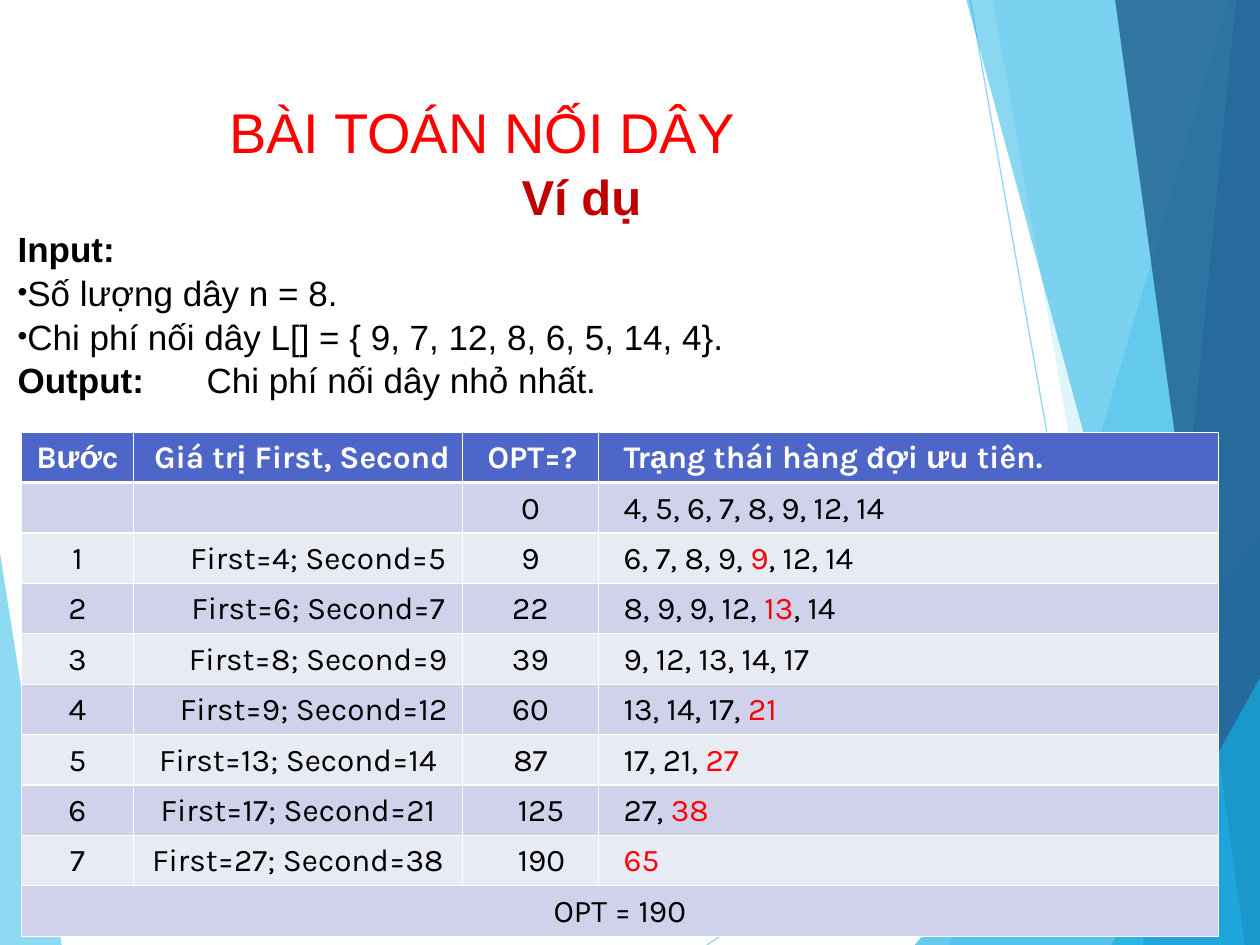
from dataclasses import dataclass
from typing import NamedTuple

from lxml.etree import SubElement
from pptx import Presentation
from pptx.dml.color import RGBColor
from pptx.enum.shapes import MSO_CONNECTOR
from pptx.enum.text import MSO_ANCHOR, MSO_AUTO_SIZE, PP_ALIGN
from pptx.oxml.ns import qn
from pptx.util import Emu, Inches, Pt


@dataclass(frozen=True)
class Theme:
    heading_font: str = "Arial"
    table_font: str = "Karla"
    title_size: int = 32
    example_size: int = 28
    body_size: int = 20
    table_size: int = 18
    ink: str = "000000"
    white: str = "FFFFFF"
    red: str = "FF0000"
    dark_red: str = "C00000"
    header: str = "4D66C7"
    bands: tuple = ("E8EAF4", "CFD2EA")
    sky: str = "5FCBEF"
    cyan: str = "17B0E4"
    blue: str = "2E83C3"
    navy: str = "236292"


THEME = Theme()


class Facet(NamedTuple):
    color: str
    opacity: int
    points: tuple


class Ray(NamedTuple):
    start: tuple
    end: tuple


class Step(NamedTuple):
    number: str
    pair: str
    pair_indent: float
    opt: str
    opt_indent: float
    queue: str  # the value just pushed stands between asterisks


RAYS = [Ray((5.61, 7.5), (10, 4.57)), Ray((7.7, 0), (9.03, 7.5))]
FACETS = [
    Facet(THEME.sky, 70, ((0, 4.39), (0.49, 7.5), (0, 7.5))),
    Facet(THEME.sky, 36, ((9.75, 0), (7.54, 7.5), (10, 7.5), (10, 0))),
    Facet(THEME.sky, 20, ((7.88, 0), (9.19, 7.5), (10, 7.5), (10, 0))),
    Facet(THEME.cyan, 66, ((7.26, 7.5), (10, 4.29), (10, 7.5))),
    Facet(THEME.cyan, 50, ((7.67, 0), (9.7, 7.5), (10, 7.5), (10, 0))),
    Facet(THEME.blue, 70, ((9.81, 0), (9.07, 7.5), (10, 7.5), (10, 0))),
    Facet(THEME.navy, 82, ((8.85, 0), (9.88, 7.5), (10, 7.5), (10, 0))),
    Facet(THEME.cyan, 66, ((8.82, 7.5), (10, 5.38), (10, 7.5))),
]

# Letters between asterisks are set in the heading font
HEADERS = ["B*ướ*c", "Giá tr*ị *First, Second", "OPT=?", "Tr*ạ*ng thái hàng đ*ợ*i *ư*u tiên."]
HEADER_ALIGNS = [PP_ALIGN.CENTER, PP_ALIGN.RIGHT, PP_ALIGN.LEFT, PP_ALIGN.LEFT]
STEPS = [
    Step("", "", 0, "0", 0, "4, 5, 6, 7, 8, 9, 12, 14"),
    Step("1", "First=4; Second=5", 0.32, "9", 0, "6, 7, 8, 9, *9*, 12, 14"),
    Step("2", "First=6; Second=7", 0.32, "22", 0, "8, 9, 9, 12, *13*, 14"),
    Step("3", "First=8; Second=9", 0.32, "39", 0, "9, 12, 13, 14, 17"),
    Step("4", "First=9; Second=12", 0.25, "60", 0, "13, 14, 17, *21*"),
    Step("5", "First=13; Second=14", 0, "87", 0, "17, 21, *27*"),
    Step("6", "First=17; Second=21", 0, "125", 0.34, "27, *38*"),
    Step("7", "First=27; Second=38", 0, "190", 0.34, "*65*"),
]
COLUMN_WIDTHS = [0.89, 2.61, 1.08, 4.92]
ROW_HEIGHT = 0.4


def rgb(color: str) -> RGBColor:
    return RGBColor.from_string(color)


def set_font(font, name: str, size: int, color: str, bold: bool = False) -> None:
    font.name, font.size, font.bold = name, Pt(size), bold
    font.color.rgb = rgb(color)


def set_opacity(shape, percent: int) -> None:
    color = shape.element.find(".//" + qn("a:srgbClr"))
    SubElement(color, qn("a:alpha"), val=str(percent * 1000))


def place(shape, left: float, top: float, width: float, height: float) -> None:
    shape.left, shape.top = Inches(left), Inches(top)
    shape.width, shape.height = Inches(width), Inches(height)


def set_indent(paragraph, inches: float) -> None:
    properties = paragraph._p.get_or_add_pPr()
    properties.set("marL", str(Inches(inches)))
    properties.set("indent", "0")


def draw_facet(slide, facet: Facet):
    corners = [(Inches(x), Inches(y)) for x, y in facet.points]
    builder = slide.shapes.build_freeform(*corners[0], scale=1.0)
    builder.add_line_segments(corners[1:], close=True)
    shape = builder.convert_to_shape()
    shape.shadow.inherit = False
    shape.fill.solid()
    shape.fill.fore_color.rgb = rgb(facet.color)
    shape.line.fill.background()
    set_opacity(shape, facet.opacity)
    return shape


def draw_ray(slide, ray: Ray):
    ends = [Inches(value) for value in ray.start + ray.end]
    line = slide.shapes.add_connector(MSO_CONNECTOR.STRAIGHT, *ends)
    line.line.color.rgb = rgb(THEME.sky)
    line.line.width = Pt(0.75)
    set_opacity(line, 70)
    SubElement(line.element.spPr, qn("a:effectLst"))
    return line


def set_border(cell, side: str, width: float) -> None:
    line = SubElement(cell._tc.get_or_add_tcPr(), qn("a:ln" + side), w=str(Pt(width)))
    SubElement(SubElement(line, qn("a:solidFill")), qn("a:srgbClr"), val=THEME.white)


def fill_cell(cell, row: int, column: int, text: str, align, indent: float = 0) -> None:
    is_header = row == 0
    # Borders come before the fill
    widths = {
        "L": 0.45 if column == 1 else 0.75,
        "R": 0.45 if column == 0 and row <= len(STEPS) else 0.75,
        "T": 2.1 if row == 1 else 0.75,
        "B": 2.1 if is_header else 0.75,
    }
    for side, width in widths.items():
        set_border(cell, side, width)
    cell.fill.solid()
    cell.fill.fore_color.rgb = rgb(THEME.header if is_header else THEME.bands[row % 2])
    cell.margin_top, cell.margin_bottom = Inches(0.06), Emu(0)

    paragraph = cell.text_frame.paragraphs[0]
    paragraph.alignment = align
    set_indent(paragraph, indent)
    set_font(paragraph.font, THEME.table_font, THEME.table_size,
             THEME.white if is_header else THEME.ink, is_header)
    for position, piece in enumerate(text.split("*")):
        if not piece:
            continue
        run = paragraph.add_run()
        run.text = piece
        if position % 2 and is_header:
            run.font.name = THEME.heading_font
        elif position % 2:
            run.font.color.rgb = rgb(THEME.red)


def draw_table(slide):
    rows = len(STEPS) + 2
    frame = slide.shapes.add_table(rows, len(COLUMN_WIDTHS), Inches(0.17), Inches(3.43),
                                   Inches(sum(COLUMN_WIDTHS)), Inches(rows * ROW_HEIGHT))
    table = frame.table
    for column, width in zip(table.columns, COLUMN_WIDTHS):
        column.width = Inches(width)
    for column, (text, align) in enumerate(zip(HEADERS, HEADER_ALIGNS)):
        fill_cell(table.cell(0, column), 0, column, text, align, 0.1 if column > 1 else 0)
    for row, step in enumerate(STEPS, 1):
        opt_align = PP_ALIGN.LEFT if step.opt_indent else PP_ALIGN.CENTER
        entries = [(step.number, PP_ALIGN.CENTER, 0),
                   (step.pair, PP_ALIGN.CENTER, step.pair_indent),
                   (step.opt, opt_align, step.opt_indent),
                   (step.queue, PP_ALIGN.LEFT, 0.1)]
        for column, entry in enumerate(entries):
            fill_cell(table.cell(row, column), row, column, *entry)
    # Result row across all columns
    result = table.cell(rows - 1, 0)
    result.merge(table.cell(rows - 1, len(COLUMN_WIDTHS) - 1))
    fill_cell(result, rows - 1, 0, "OPT = 190", PP_ALIGN.CENTER)
    return frame


def write_title(title) -> None:
    place(title, 1.72, 0.67, 8.25, 0.53)
    frame = title.text_frame
    frame.auto_size, frame.vertical_anchor = MSO_AUTO_SIZE.NONE, MSO_ANCHOR.TOP
    frame.margin_top = Inches(0.1)
    frame.text = "BÀI TOÁN NỐI DÂY"
    frame.paragraphs[0].alignment = PP_ALIGN.LEFT
    set_font(frame.paragraphs[0].font, THEME.heading_font, THEME.title_size, THEME.red)


def add_line(frame, text: str, size: int = THEME.body_size, color: str = THEME.ink,
             bold: bool = False, indent: float = 0.01, bullet: bool = False, tab: float = 0):
    is_first = not frame.text
    paragraph = frame.paragraphs[0] if is_first else frame.add_paragraph()
    paragraph.space_before = Pt(0 if is_first else 1.1)
    set_indent(paragraph, indent)
    properties = paragraph._p.get_or_add_pPr()
    if bullet:
        SubElement(SubElement(properties, qn("a:buClr")), qn("a:srgbClr"), val=THEME.ink)
        SubElement(properties, qn("a:buSzPct"), val="80000")
        SubElement(properties, qn("a:buChar"), char="•")
    else:
        SubElement(properties, qn("a:buNone"))
    if tab:
        SubElement(SubElement(properties, qn("a:tabLst")), qn("a:tab"),
                   pos=str(Inches(tab)), algn="l")
    set_font(paragraph.font, THEME.heading_font, size, color, bold)
    run = paragraph.add_run()
    run.text = text
    return paragraph


def write_problem(body) -> None:
    place(body, 0.13, 1.28, 9.85, 1.83)
    frame = body.text_frame
    frame.auto_size, frame.vertical_anchor = MSO_AUTO_SIZE.NONE, MSO_ANCHOR.TOP
    frame.margin_left = frame.margin_right = frame.margin_bottom = Emu(0)
    frame.margin_top = Inches(0.04)
    add_line(frame, "Ví dụ", THEME.example_size, THEME.dark_red, bold=True, indent=4.01)
    add_line(frame, "Input:", bold=True)
    add_line(frame, "Số lượng dây n = 8.", bullet=True)
    add_line(frame, "Chi phí nối dây L[] = { 9, 7, 12, 8, 6, 5, 14, 4}.", bullet=True)
    output = add_line(frame, "Output:", tab=1.24)
    output.runs[0].font.bold = True
    goal = output.add_run()
    goal.text = "\tChi phí nối dây nhỏ nhất."


def main() -> None:
    presentation = Presentation()
    presentation.slide_width, presentation.slide_height = Inches(10), Inches(7.5)
    slide = presentation.slides.add_slide(presentation.slide_layouts[1])
    title, body = slide.shapes.title, slide.placeholders[1]

    # Backdrop behind the text
    backdrop = [draw_facet(slide, FACETS[0])]
    backdrop += [draw_ray(slide, ray) for ray in RAYS]
    backdrop += [draw_facet(slide, facet) for facet in FACETS[1:]]
    for shape in backdrop:
        title.element.addprevious(shape.element)

    # Title, table and problem statement
    write_title(title)
    body.element.addprevious(draw_table(slide).element)
    write_problem(body)
    presentation.save("out.pptx")


if __name__ == "__main__":
    main()
